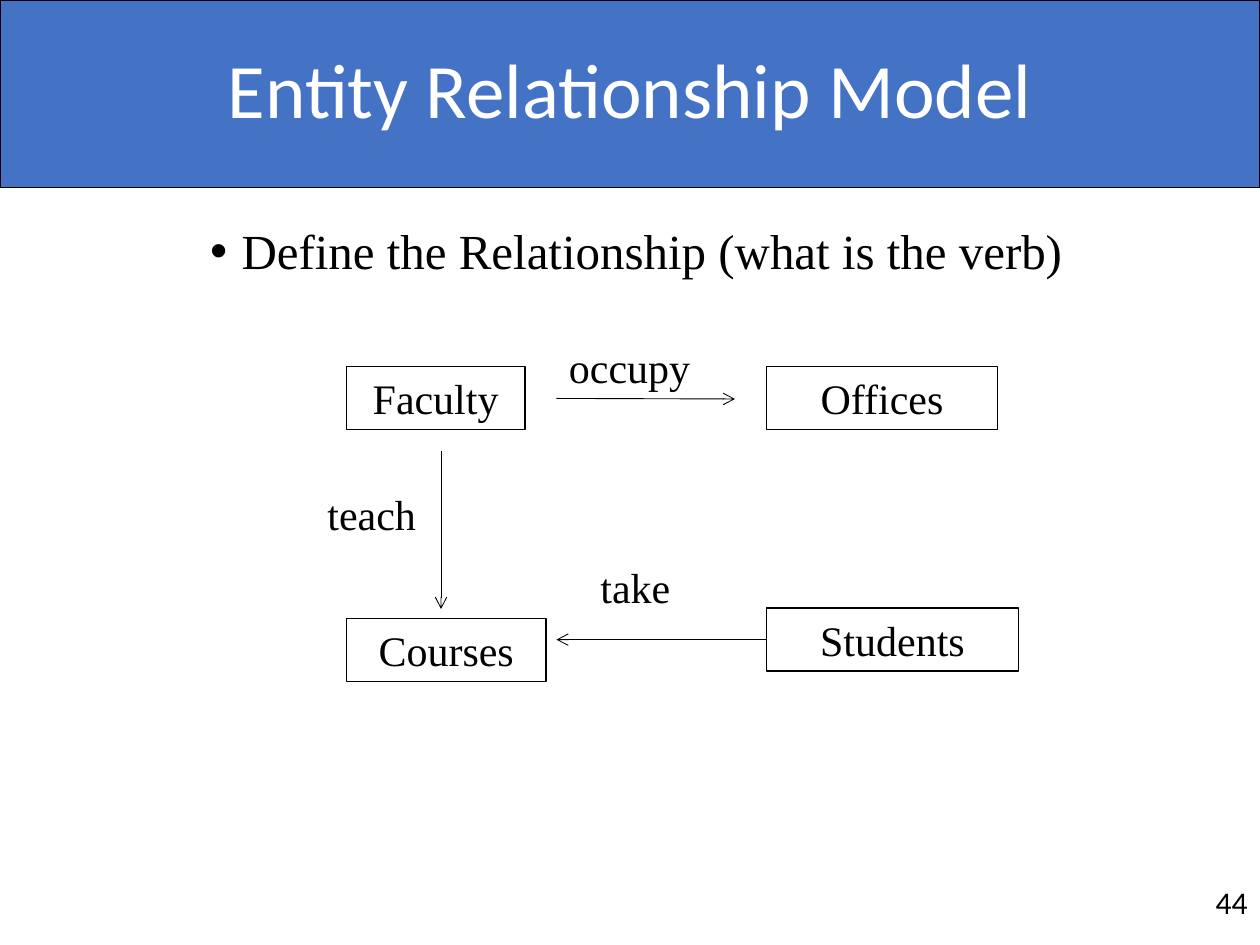
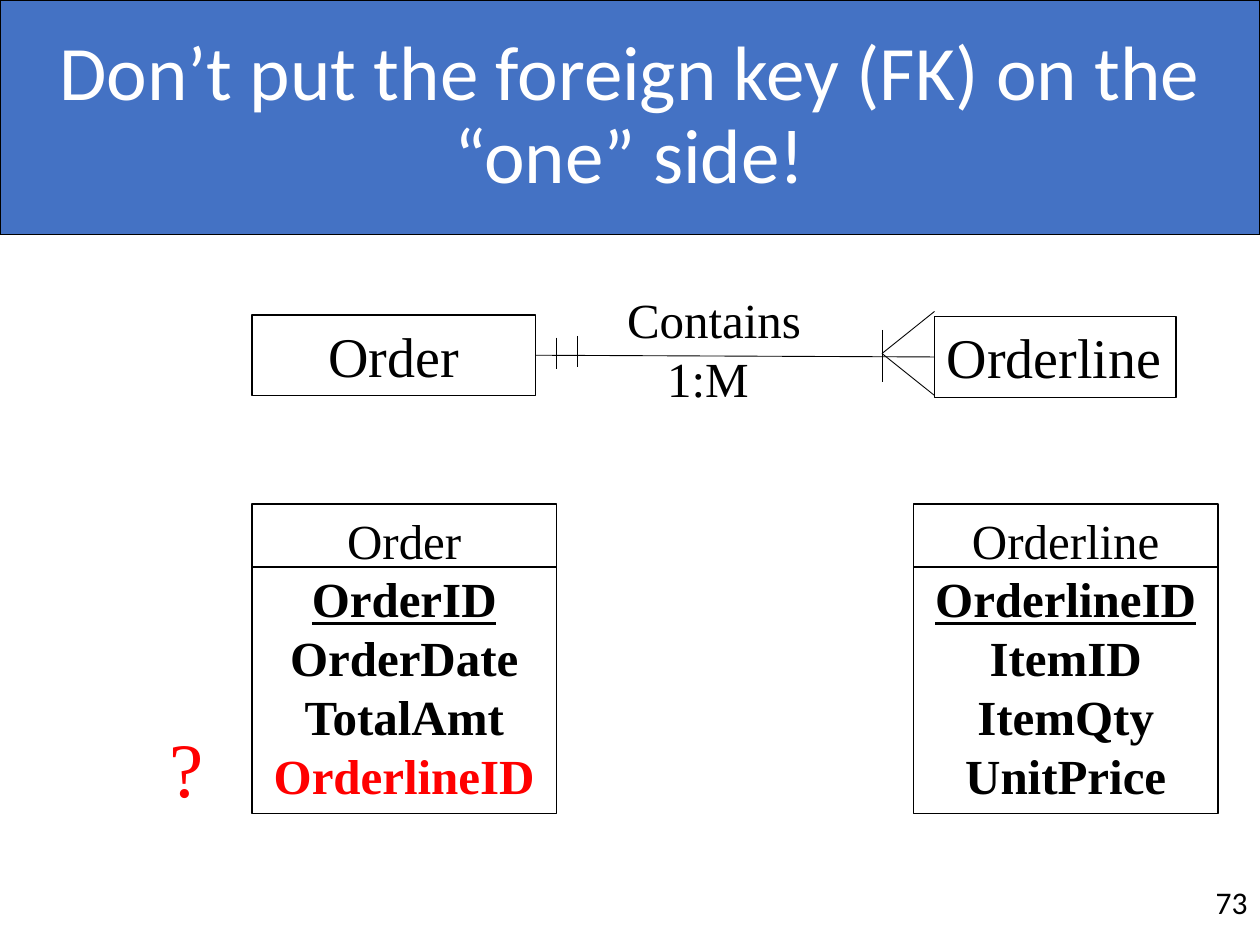
import pptx
import pptx.dml.color
import pptx.enum.shapes
import pptx.enum.text
import pptx.oxml.ns
import pptx.util
from lxml import etree

Pt = pptx.util.Pt
ALIGN = pptx.enum.text.PP_ALIGN
ANCHOR = pptx.enum.text.MSO_ANCHOR
RECT = pptx.enum.shapes.MSO_SHAPE.RECTANGLE
LINE = pptx.enum.shapes.MSO_CONNECTOR.STRAIGHT

COLORS = {"band": "4472C4", "ink": "000000", "paper": "FFFFFF", "alert": "FF0000"}
SANS, SERIF = "Calibri", "Times New Roman"
WIDTH, HEIGHT = 720, 540
TOP, LEFT, BOTTOM, RIGHT = range(4)


def tint(name):
    return pptx.dml.color.RGBColor.from_string(COLORS[name])


def child(parent, tag, **attrs):
    return etree.SubElement(parent, pptx.oxml.ns.qn(tag), attrs)


def style(para, size, face=SERIF, color="ink", align=ALIGN.LEFT):
    para.alignment = align
    for run in para.runs:
        run.font.size = Pt(size)
        run.font.name = face
        run.font.color.rgb = tint(color)


def write(shape, text, size, anchor=ANCHOR.TOP, **look):
    frame = shape.text_frame
    frame.word_wrap = True
    frame.vertical_anchor = anchor
    frame.text = text
    for para in frame.paragraphs:
        style(para, size, **look)
    return frame.paragraphs


def add_label(slide, text, x, y, w, h, size, **look):
    box = slide.shapes.add_textbox(Pt(x), Pt(y), Pt(w), Pt(h))
    return write(box, text, size, **look)


def add_box(slide, x, y, w, h, fill=None):
    box = slide.shapes.add_shape(RECT, Pt(x), Pt(y), Pt(w), Pt(h))
    box.shadow.inherit = False
    if fill:
        box.fill.solid()
        box.fill.fore_color.rgb = tint(fill)
    else:
        box.fill.background()
    box.line.color.rgb = tint("ink")
    box.line.width = Pt(0.75)
    return box


def add_node(slide, text, x, y, w, h, size, align=ALIGN.CENTER):
    box = add_box(slide, x, y, w, h)
    write(box, text, size, align=align)
    return box


def add_line(slide, x1, y1, x2, y2, weight=0.5, arrow=False):
    line = slide.shapes.add_connector(LINE, Pt(x1), Pt(y1), Pt(x2), Pt(y2))
    line.line.color.rgb = tint("ink")
    line.line.width = Pt(weight)
    if arrow:
        child(line.line._get_or_add_ln(), "a:tailEnd", type="arrow")
    child(line._element.spPr, "a:effectLst")
    return line


def add_bullet(slide, text, x, y, w, h, size):
    para = add_label(slide, text, x, y, w, h, size)[0]
    para.line_spacing = 0.9
    props = para._p.get_or_add_pPr()
    props.set("marL", str(Pt(18)))
    props.set("indent", str(-Pt(18)))
    child(props, "a:buFont", typeface="Arial")
    child(props, "a:buChar", char="•")


def add_entity(slide, name, fields, x, alert=None):
    """Draw a box with its name, a rule and the fields, the key field first."""
    y, w, h, size = 288, 174, 177, 28
    paras = write(add_box(slide, x, y, w, h), "\n".join([name, *fields]),
                  size, align=ALIGN.CENTER)
    for para in paras[1:]:
        para.runs[0].font.bold = True
        if para.text == alert:
            para.runs[0].font.color.rgb = tint("alert")
    paras[1].runs[0].font.underline = True
    add_line(slide, x, y + 36, x + w, y + 36, weight=1)


def add_slide(deck, title, number, depth):
    """Start a slide with its title band, depth points high, and page number."""
    slide = deck.slides.add_slide(deck.slide_layouts[6])
    band = add_box(slide, 0, 0, WIDTH, depth, fill="band")
    para = write(band, title, 44, anchor=ANCHOR.MIDDLE, face=SANS,
                 color="paper", align=ALIGN.CENTER)[0]
    para.line_spacing = 0.9
    add_label(slide, number, 684, 497, 36, 37, 18, anchor=ANCHOR.MIDDLE,
              face=SANS, align=ALIGN.RIGHT)
    return slide


def draw_verbs(deck):
    slide = add_slide(deck, "Entity Relationship Model", "44", 107)
    add_bullet(slide, "Define the Relationship (what is the verb)",
               113, 126, 590, 54, 28)
    nodes = {}
    for name, x, y, w in (("Faculty", 198, 209.5, 102), ("Offices", 438, 209.5, 132),
                          ("Courses", 198, 353.5, 114), ("Students", 438, 347.5, 144)):
        nodes[name] = add_node(slide, name, x, y, w, 36, 24)
    add_line(slide, 318, 227.7, 420, 228, arrow=True)
    add_line(slide, 252, 258, 252, 348, arrow=True)
    take = add_line(slide, 438, 365.5, 318, 365.5, arrow=True)
    take.begin_connect(nodes["Students"], LEFT)
    for verb, x, y in (("occupy", 318, 191.5), ("take", 336, 317.5),
                       ("teach", 180, 275.5)):
        add_label(slide, verb, x, y, 90, 36, 24)


def draw_keys(deck):
    slide = add_slide(deck, "Don’t put the foreign key (FK) on the “one” side!",
                      "73", 134)
    order = add_node(slide, "Order", 144, 180, 162, 46, 32)
    detail = add_node(slide, "Orderline", 534, 181, 138, 46, 32, align=ALIGN.LEFT)
    link = add_line(slide, 306, 203, 534, 204)
    link.begin_connect(order, RIGHT)
    link.end_connect(detail, LEFT)
    add_label(slide, "Contains\v1:M ", 312, 162, 192, 75, 28, align=ALIGN.CENTER)
    for y in (178, 226):
        add_line(slide, 504, 202, 534, y)
    for x, y, h in ((318, 193, 18), (330, 192, 18), (504, 188.5, 30)):
        add_line(slide, x, y, x, y + h)
    add_entity(slide, "Order", ["OrderID", "OrderDate", "TotalAmt", "OrderlineID"],
               144, alert="OrderlineID")
    add_entity(slide, "Orderline", ["OrderlineID", "ItemID", "ItemQty", "UnitPrice"],
               522)
    add_label(slide, "?", 90, 408, 66, 60, 44, color="alert")


def main():
    deck = pptx.Presentation()
    deck.slide_width, deck.slide_height = Pt(WIDTH), Pt(HEIGHT)
    draw_verbs(deck)
    draw_keys(deck)
    deck.save("out.pptx")


if __name__ == "__main__":
    main()
